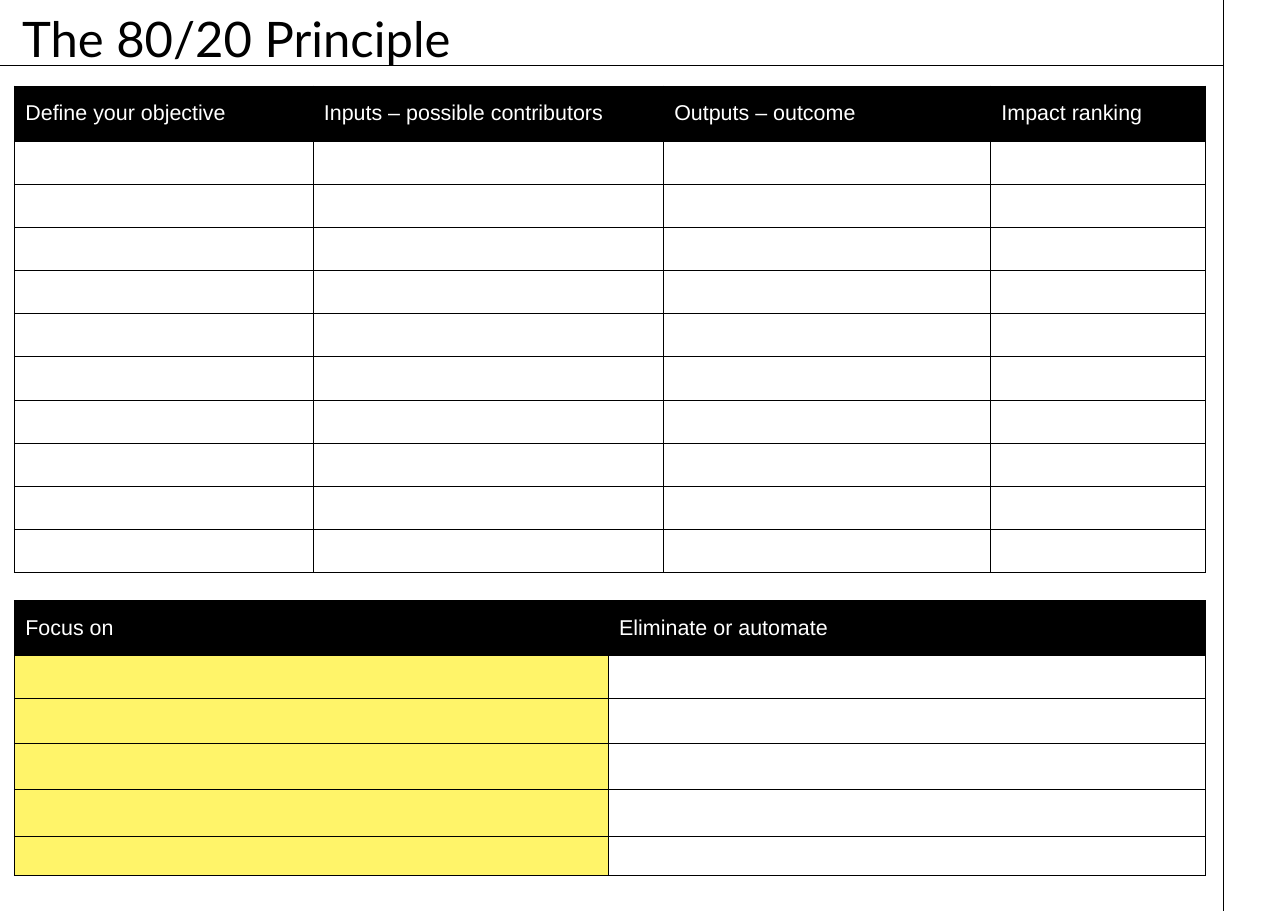
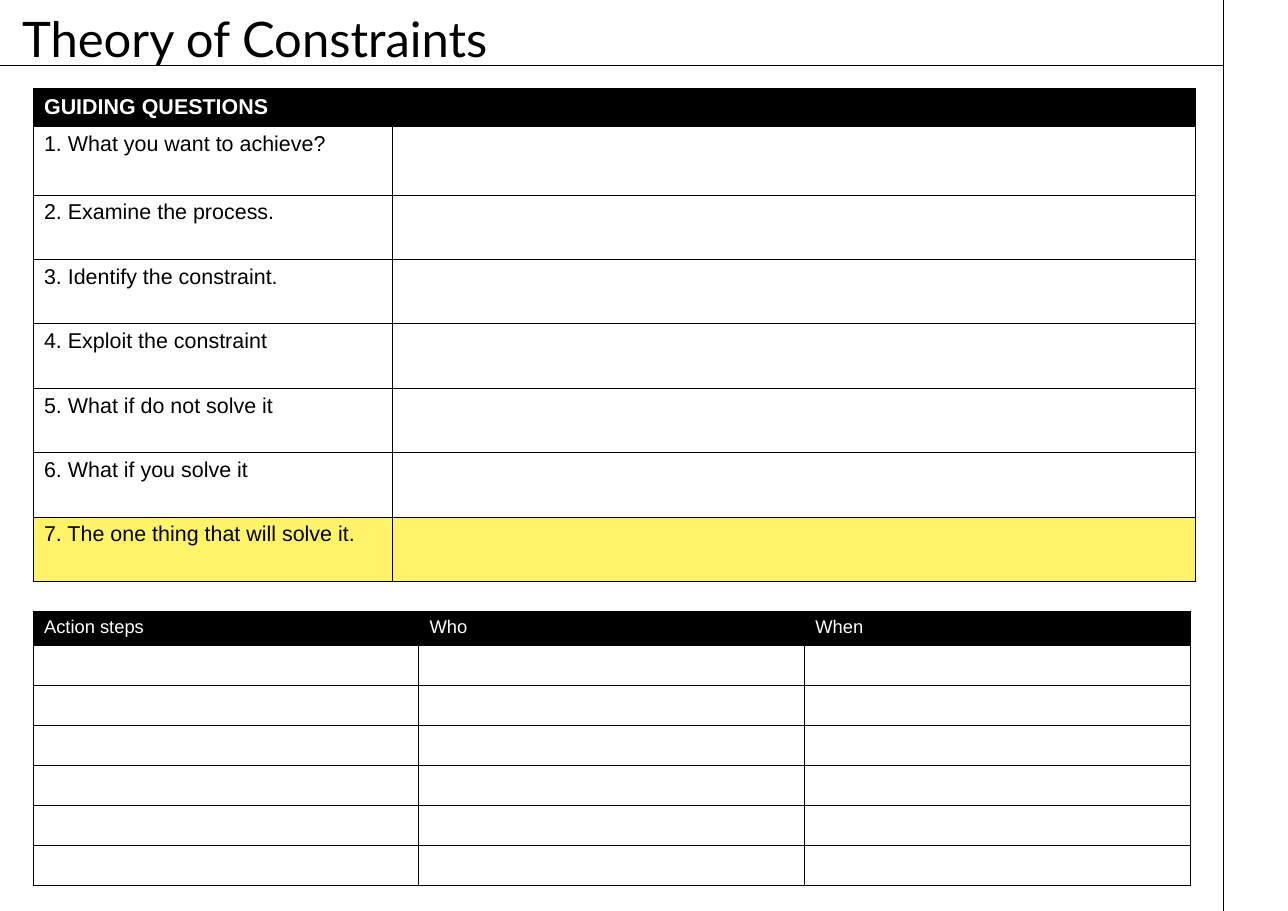
from dataclasses import dataclass

from lxml.etree import SubElement
from pptx import Presentation
from pptx.dml.color import RGBColor
from pptx.enum.shapes import MSO_CONNECTOR
from pptx.enum.text import MSO_ANCHOR, MSO_AUTO_SIZE, PP_ALIGN
from pptx.oxml import parse_xml
from pptx.oxml.ns import nsdecls, qn
from pptx.util import Inches, Pt

STRAIGHT = MSO_CONNECTOR.STRAIGHT
TOP, MIDDLE, BOTTOM = MSO_ANCHOR.TOP, MSO_ANCHOR.MIDDLE, MSO_ANCHOR.BOTTOM
NO_FIT = MSO_AUTO_SIZE.NONE
LEFT = PP_ALIGN.LEFT
TITLE_ONLY = 5


@dataclass(frozen=True)
class Theme:
    ink: str = "000000"
    paper: str = "FFFFFF"
    accent: str = "FFF469"
    title_font: str = "Lato"
    body_font: str = "Arial"
    title_size: int = 32
    body_size: int = 14
    small_size: int = 12
    rule: float = 0.5
    width: float = 11.69
    height: float = 8.27
    margin_x: float = 11.1
    band_y: float = 0.59


THEME = Theme()


def put(frame, text, size=THEME.body_size, color=THEME.ink,
        font=THEME.body_font, bold=False, spacing=None):
    para = frame.paragraphs[0]
    para.alignment = LEFT
    para.line_spacing = spacing
    run = para.add_run()
    run.text = text
    run.font.name = font
    run.font.size = Pt(size)
    run.font.bold = bold
    run.font.color.rgb = RGBColor.from_string(color)


def add_rule(slide, x1, y1, x2, y2):
    line = slide.shapes.add_connector(
        STRAIGHT, Inches(x1), Inches(y1), Inches(x2), Inches(y2))
    line.line.color.rgb = RGBColor.from_string(THEME.ink)
    line.line.width = Pt(THEME.rule)
    SubElement(line._element.spPr, qn("a:effectLst"))
    return line


def share_rules(slide):
    """Draw the title and margin rules, then move them to the layout."""
    tree = slide.slide_layout.shapes._spTree
    for ends in ((0, THEME.band_y, THEME.margin_x, THEME.band_y),
                 (THEME.margin_x, 0, THEME.margin_x, THEME.height)):
        tree.append(add_rule(slide, *ends)._element)


def add_slide(deck, title):
    slide = deck.slides.add_slide(deck.slide_layouts[TITLE_ONLY])
    head = slide.shapes.title
    head.left, head.top = Inches(0.1), Inches(0.23)
    head.width, head.height = Inches(8.24), Inches(0.44)
    frame = head.text_frame
    frame.auto_size = NO_FIT
    frame.word_wrap = True
    frame.vertical_anchor = BOTTOM
    put(frame, title, size=THEME.title_size, font=THEME.title_font, spacing=0.9)
    return slide


def set_borders(cell):
    props = cell._tc.get_or_add_tcPr()
    for index, side in enumerate("LRTB"):
        props.insert(index, parse_xml(
            f'<a:ln{side} {nsdecls("a")} w="{Pt(THEME.rule)}"><a:solidFill>'
            f'<a:srgbClr val="{THEME.ink}"/></a:solidFill></a:ln{side}>'))


def set_cell(cell, text, fill, anchor=TOP, **style):
    cell.fill.solid()
    cell.fill.fore_color.rgb = RGBColor.from_string(fill)
    cell.vertical_anchor = anchor
    set_borders(cell)
    if text:
        put(cell.text_frame, text, **style)
    else:
        para = cell.text_frame.paragraphs[0]._p
        SubElement(para, qn("a:endParaRPr"), sz=str(THEME.small_size * 100))


def add_grid(slide, left, top, cols, rows, heads, labels=(),
             marked=(), anchor=MIDDLE, **style):
    """Add a table; labels fill the first column, marked holds (row, column)."""
    grid = slide.shapes.add_table(
        len(rows), len(cols), Inches(left), Inches(top),
        Inches(sum(cols)), Inches(sum(rows))).table
    grid.first_row = grid.horz_banding = False
    for col, width in zip(grid.columns, cols):
        col.width = Inches(width)
    for row, height in zip(grid.rows, rows):
        row.height = Inches(height)
    for c in range(len(cols)):
        head = heads[c] if c < len(heads) else ""
        set_cell(grid.cell(0, c), head, THEME.ink, anchor,
                 color=THEME.paper, **style)
        for r in range(1, len(rows)):
            label = labels[r - 1] if c == 0 and labels else ""
            fill = THEME.accent if (r, c) in marked else THEME.paper
            set_cell(grid.cell(r, c), label, fill)
    if len(heads) == 1:
        grid.cell(0, 0).merge(grid.cell(0, len(cols) - 1))


def add_pareto(deck):
    slide = add_slide(deck, "The 80/20 Principle")
    share_rules(slide)
    count, head, total = 10, 0.5, 4.42
    add_grid(slide, 0.13, 0.78, [2.71, 3.18, 2.97, 1.95],
             [head] + [(total - head) / count] * count,
             ["Define your objective", "Inputs – possible contributors",
              "Outputs – outcome", "Impact ranking"])
    add_grid(slide, 0.13, 5.45, [5.39, 5.42],
             [head, 0.39, 0.41, 0.42, 0.42, 0.36],
             ["Focus on", "Eliminate or automate"],
             marked=[(r, 0) for r in range(1, 6)])


def add_limits(deck):
    slide = add_slide(deck, "Theory of Constraints")
    steps = ["What you want to achieve?", "Examine the process.",
             "Identify the constraint.", "Exploit the constraint",
             "What if do not solve it", "What if you solve it",
             "The one thing that will solve it."]
    last = len(steps)
    add_grid(slide, 0.3, 0.8, [3.26, 7.29],
             [0.35, 0.62] + [0.585] * (last - 1), ["GUIDING QUESTIONS"],
             labels=[f"{n}. {step}" for n, step in enumerate(steps, 1)],
             marked=[(last, 0), (last, 1)], bold=True)
    add_grid(slide, 0.3, 5.55, [3.5] * 3, [0.31] + [0.363] * 6,
             ["Action steps", "Who", "When"],
             anchor=TOP, size=THEME.small_size)


def main():
    deck = Presentation()
    deck.slide_width = Inches(THEME.width)
    deck.slide_height = Inches(THEME.height)
    add_pareto(deck)
    add_limits(deck)
    deck.save("out.pptx")


if __name__ == "__main__":
    main()
